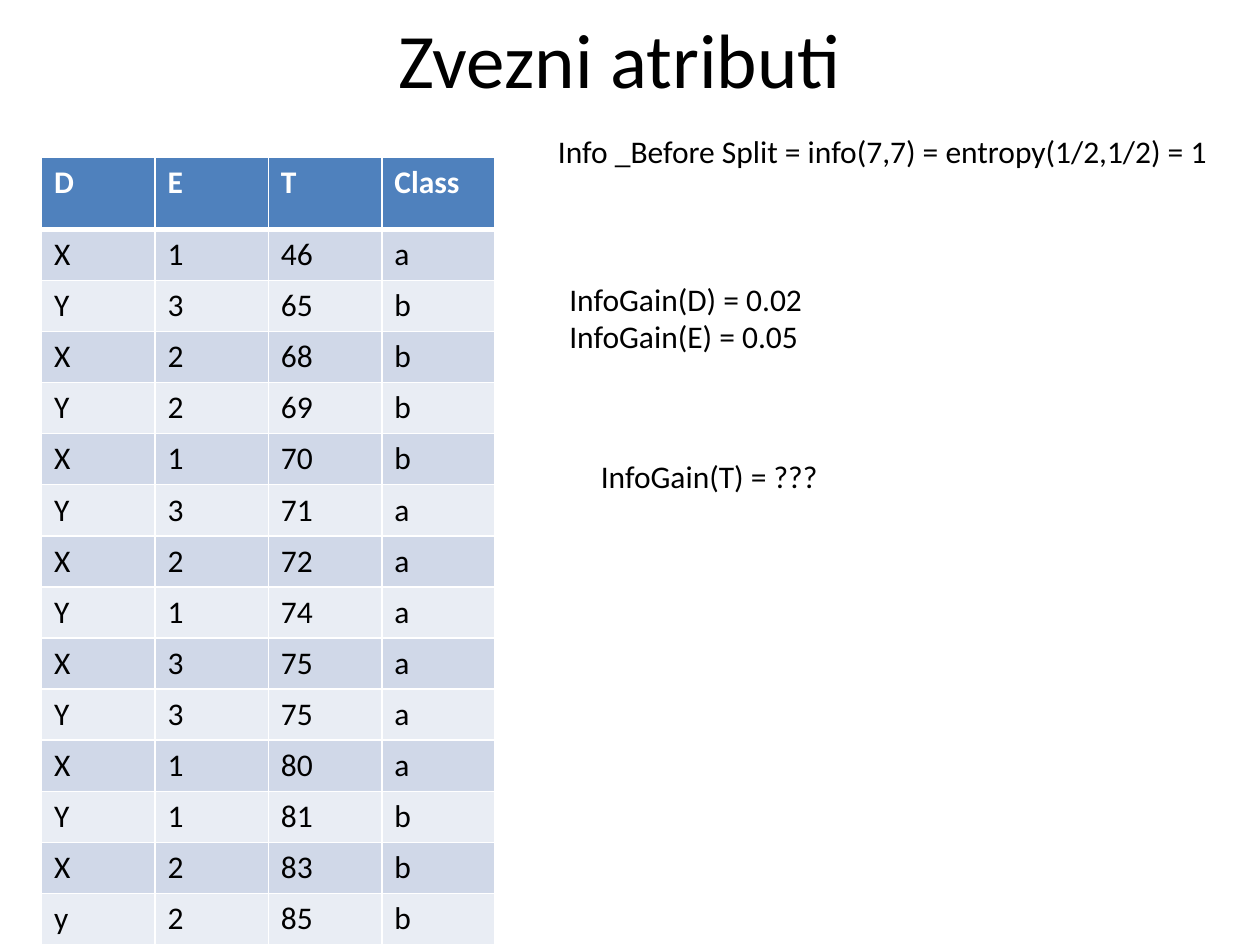
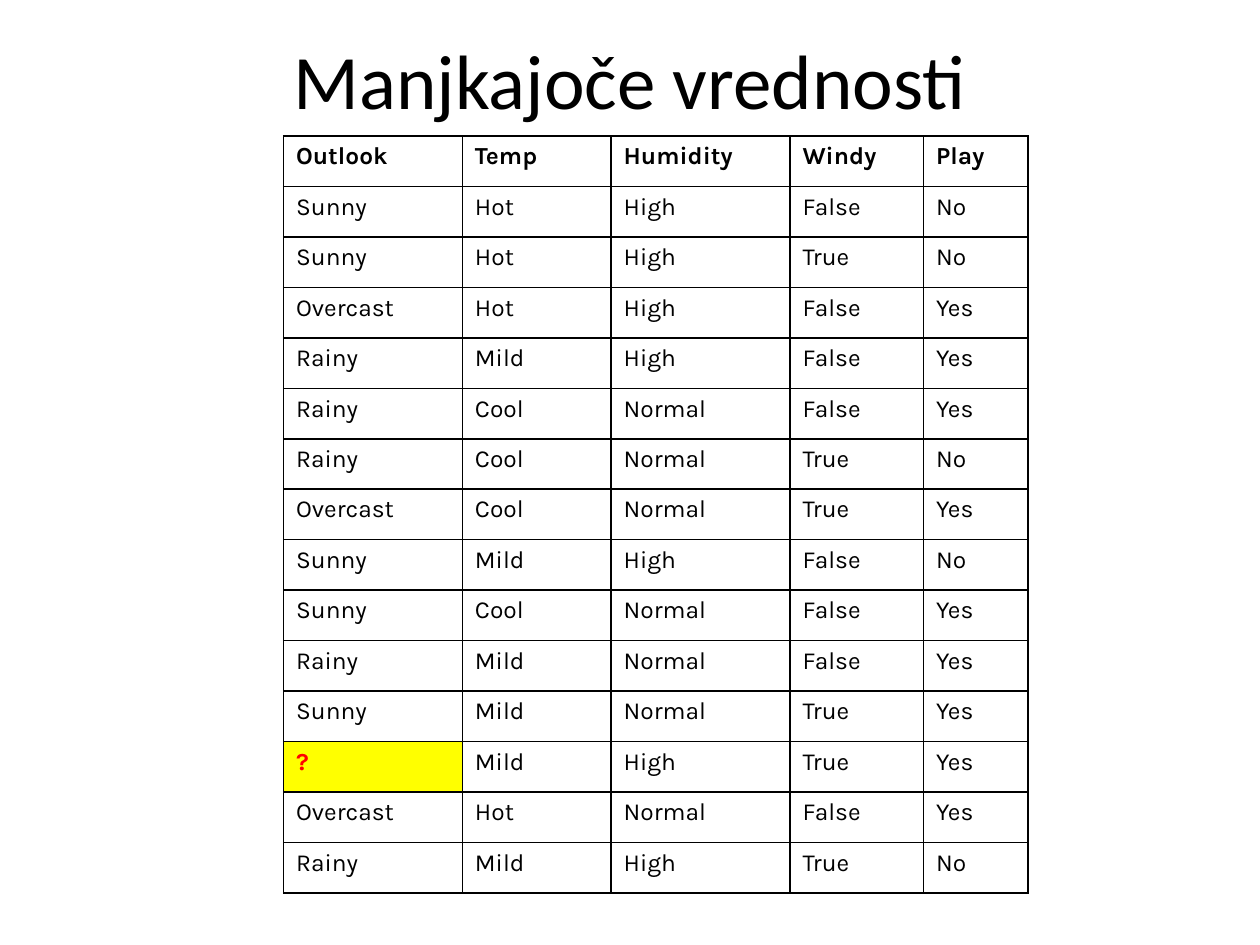
import pptx
import pptx.dml.color
import pptx.enum.text
import pptx.oxml
import pptx.oxml.ns
import pptx.util
from pptx.util import Inches, Pt

BLACK, WHITE, RED, YELLOW = "000000", "FFFFFF", "FF0000", "FFFF00"
HEADER_BLUE, BAND_DARK, BAND_LIGHT = "4F81BD", "D0D8E8", "E9EDF4"
BODY_FONT, TABLE_FONT = "Calibri", "Karla"

SPLIT_ROWS = """D E T Class
X 1 46 a
Y 3 65 b
X 2 68 b
Y 2 69 b
X 1 70 b
Y 3 71 a
X 2 72 a
Y 1 74 a
X 3 75 a
Y 3 75 a
X 1 80 a
Y 1 81 b
X 2 83 b
y 2 85 b"""

WEATHER_ROWS = """Outlook Temp Humidity Windy Play
Sunny Hot High False No
Sunny Hot High True No
Overcast Hot High False Yes
Rainy Mild High False Yes
Rainy Cool Normal False Yes
Rainy Cool Normal True No
Overcast Cool Normal True Yes
Sunny Mild High False No
Sunny Cool Normal False Yes
Rainy Mild Normal False Yes
Sunny Mild Normal True Yes
? Mild High True Yes
Overcast Hot Normal False Yes
Rainy Mild High True No"""


def rgb(value):
    return pptx.dml.color.RGBColor.from_string(value)


def format_text(text_frame, size, font=BODY_FONT, color=BLACK, bold=False):
    for paragraph in text_frame.paragraphs:
        for run in paragraph.runs:
            run.font.size = Pt(size)
            run.font.name = font
            run.font.bold = bold
            run.font.color.rgb = rgb(color)


def add_text(slide, box, text, size=18):
    shape = slide.shapes.add_textbox(*map(Inches, box))
    text_frame = shape.text_frame
    text_frame.text = text
    text_frame.word_wrap = False
    format_text(text_frame, size)
    return text_frame


def add_title(slide, left, top, text):
    text_frame = add_text(slide, (left, top, 9, 1.25), text, 44)
    text_frame.word_wrap = True
    text_frame.vertical_anchor = pptx.enum.text.MSO_ANCHOR.MIDDLE
    text_frame.paragraphs[0].alignment = pptx.enum.text.PP_ALIGN.CENTER


def set_borders(cell, color, top=1, bottom=1):
    """Draw the four cell edges; call before the fill is set."""
    properties = cell._tc.get_or_add_tcPr()
    for side, width in (("L", 1), ("R", 1), ("T", top), ("B", bottom)):
        properties.append(pptx.oxml.parse_xml(
            f'<a:ln{side} {pptx.oxml.ns.nsdecls("a")} w="{Pt(width)}">'
            f'<a:solidFill><a:srgbClr val="{color}"/></a:solidFill></a:ln{side}>'))


def add_grid(slide, box, columns, rows, style_cell, header_height=None):
    """Fill a table from rows of words; all rows below the header are equal."""
    values = [line.split() for line in rows.splitlines()]
    left, top, width, height = box
    table = slide.shapes.add_table(
        len(values), len(columns), *map(Inches, box)).table
    table.first_row = table.horz_banding = False
    for column, column_width in zip(table.columns, columns):
        column.width = Inches(column_width)
    header_height = header_height or height / len(values)
    body_height = (height - header_height) / (len(values) - 1)
    for index, row in enumerate(table.rows):
        row.height = Inches(body_height if index else header_height)
        for cell, value in zip(row.cells, values[index]):
            cell.text_frame.text = value
            style_cell(cell, index)


def style_banded_cell(cell, row):
    header = row == 0
    set_borders(cell, WHITE, top=3 if row == 1 else 1, bottom=3 if header else 1)
    cell.fill.solid()
    band = BAND_DARK if row % 2 else BAND_LIGHT
    cell.fill.fore_color.rgb = rgb(HEADER_BLUE if header else band)
    format_text(cell.text_frame, 18, color=WHITE if header else BLACK, bold=header)


def style_weather_cell(cell, row):
    missing = cell.text_frame.text == "?"
    set_borders(cell, BLACK)
    if missing:
        cell.fill.solid()
        cell.fill.fore_color.rgb = rgb(YELLOW)
    else:
        cell.fill.background()
    format_text(cell.text_frame, 14, TABLE_FONT,
                RED if missing else BLACK, missing or row == 0)


def build_continuous_attributes(slide):
    add_grid(slide, (0.33, 1.25, 3.6, 6.25), [0.9] * 4, SPLIT_ROWS,
             style_banded_cell, header_height=0.57)
    add_text(slide, (4.33, 1, 5.42, 0.4),
             "Info _Before Split = info(7,7) = entropy(1/2,1/2) = 1")
    add_text(slide, (4.42, 2.17, 2.07, 0.71),
             "InfoGain(D) = 0.02\nInfoGain(E) = 0.05")
    add_text(slide, (4.67, 3.58, 1.94, 0.4), "InfoGain(T) = ???")
    add_title(slide, 0.42, -0.17, "Zvezni atributi")


def build_missing_values(slide):
    add_title(slide, 0.5, 0, "Manjkajoče vrednosti")
    add_grid(slide, (2.25, 1.08, 5.92, 6.01), [1.42, 1.18, 1.42, 1.06, 0.83],
             WEATHER_ROWS, style_weather_cell)


def main():
    presentation = pptx.Presentation()
    presentation.slide_width = Inches(10)
    presentation.slide_height = Inches(7.5)
    for build in (build_continuous_attributes, build_missing_values):
        build(presentation.slides.add_slide(presentation.slide_layouts[6]))
    presentation.save("out.pptx")


if __name__ == "__main__":
    main()
